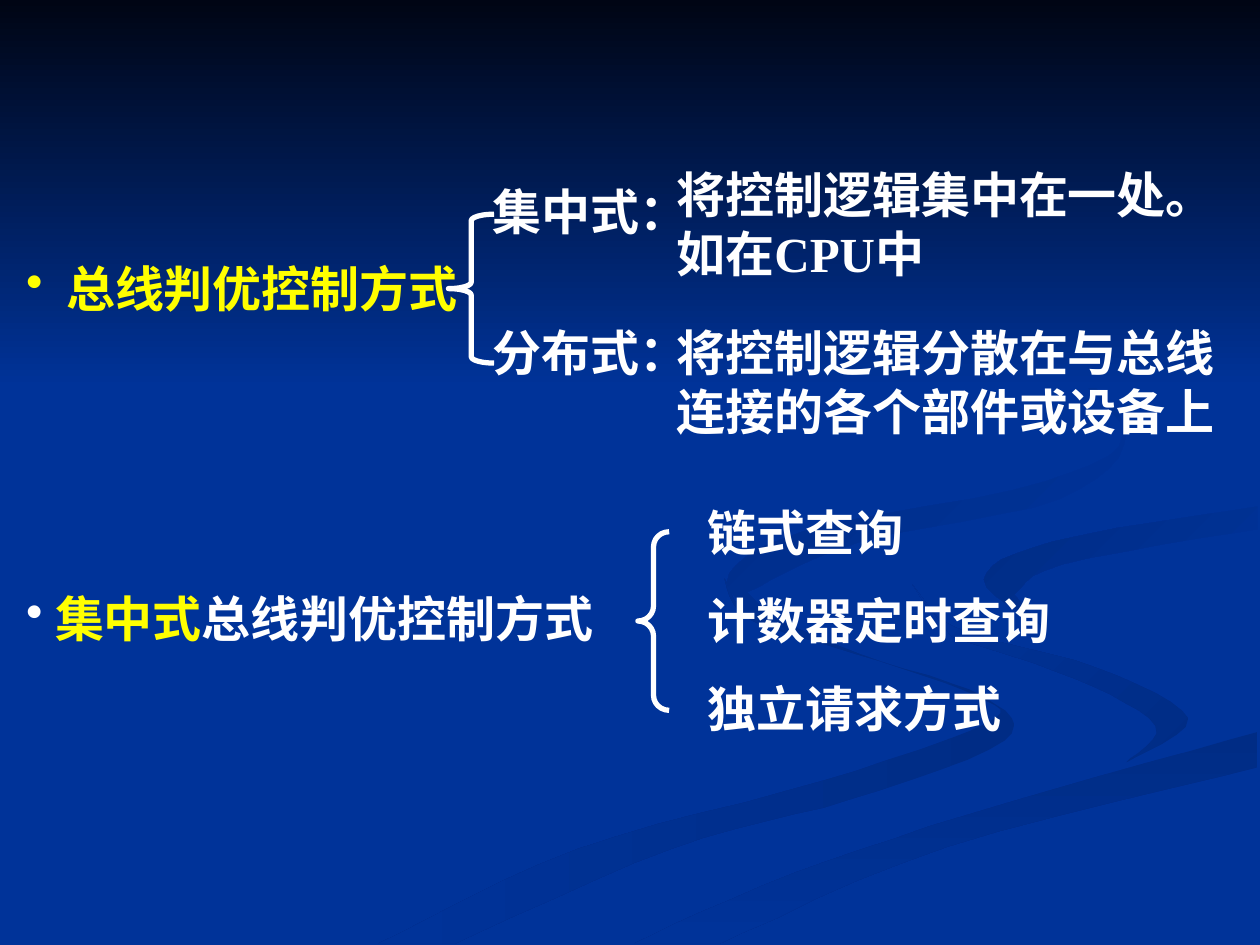
from pptx import Presentation
from pptx.dml.color import RGBColor
from pptx.enum.shapes import MSO_SHAPE
from pptx.oxml.xmlchemy import OxmlElement
from pptx.util import Cm, Pt

WHITE = RGBColor(0xFF, 0xFF, 0xFF)
YELLOW = RGBColor(0xFF, 0xFF, 0x00)
BLUE = RGBColor(0x00, 0x33, 0x99)
NIGHT = RGBColor(0x00, 0x05, 0x14)
SHADE = RGBColor(0x00, 0x2C, 0x85)
FONT, SIZE = "Times New Roman", Pt(28)
LINE_HEIGHT = 1.45
BULLET_INDENT = 0.58

# Topics: left, top, width in cm, bullet colour, runs
TOPICS = [
    (0.28, 5.08, 9.68, YELLOW, [(" 总线判优控制方式", YELLOW)]),
    (0.28, 11.73, 12.2, WHITE, [("集中式", YELLOW), ("总线判优控制方式", WHITE)]),
]

# Control modes: label, label top, explanation, explanation top
MODE_LEFT, MODE_WIDTH = 9.68, 4.75
EXPLANATION_LEFT, EXPLANATION_WIDTH = 13.39, 12.01
MODES = [
    ("集中式：", 3.53, "将控制逻辑集中在一处。如在CPU中", 3.2),
    ("分布式：", 6.38, "将控制逻辑分散在与总线连接的各个部件或设备上", 6.38),
]

# Query methods of the centralized mode
METHOD_LEFT, METHOD_TOP, METHOD_STEP, METHOD_WIDTH = 14.02, 10.0, 1.78, 7.85
METHODS = ["链式查询", "计数器定时查询", "独立请求方式"]

# Braces: left, top, width, height in cm, curl
BRACES = [(9.04, 4.32, 0.92, 3.0, 0.14), (12.86, 10.72, 0.63, 3.6, 0.48)]

# Background ribbons: gradient colours, angle, two edges in 1/100 of 2.54 cm
UNIT = Cm(2.54) / 100
CURVE_STEPS = 6
RIBBONS = [
    (SHADE, BLUE, 180,
     [(575, 459), (594, 491), (679, 519), (776, 553), (783, 574),
      (652, 620), (458, 674), (300, 749)],
     [(361, 749), (532, 674), (676, 634), (797, 588), (781, 553),
      (682, 519), (583, 477)]),
    (SHADE, BLUE, 225,
     [(724, 464), (758, 498), (870, 530), (943, 570), (894, 605)],
     [(894, 605), (917, 576), (854, 539), (755, 505)]),
    (SHADE, BLUE, 90,
     [(503, 749), (630, 693), (797, 638), (998, 581)],
     [(998, 609), (752, 672), (571, 749)]),
    (BLUE, SHADE, 225,
     [(826, 496), (781, 460), (835, 430), (998, 402)],
     [(998, 420), (843, 448), (805, 472)]),
    (BLUE, SHADE, 225,
     [(762, 233), (889, 335), (830, 382), (637, 422), (577, 462), (622, 500)],
     [(593, 470), (683, 430), (841, 396), (894, 344), (846, 285)]),
]


def smooth(edge):
    """Return points on a Catmull-Rom curve through the edge."""
    padded = [edge[0], *edge, edge[-1]]
    curve = []
    for a, b, c, d in zip(padded, padded[1:], padded[2:], padded[3:]):
        for step in range(CURVE_STEPS):
            t = step / CURVE_STEPS
            curve.append(tuple(
                q + t * (r - p + t * (2 * p - 5 * q + 4 * r - s
                                      + t * (3 * q - p - 3 * r + s))) / 2
                for p, q, r, s in zip(a, b, c, d)))
    return curve + [edge[-1]]


def paint_gradient(shape, start, end, angle):
    shape.shadow.inherit = False
    shape.line.fill.background()
    shape.fill.gradient()
    shape.fill.gradient_angle = 360 - angle
    for stop, color in zip(shape.fill.gradient_stops, (start, end)):
        stop.color.rgb = color


def add_bullet(paragraph, color):
    properties = paragraph._p.get_or_add_pPr()
    properties.set("marL", str(Cm(BULLET_INDENT)))
    properties.set("indent", str(-Cm(BULLET_INDENT)))
    bullet_color = OxmlElement("a:buClr")
    rgb = OxmlElement("a:srgbClr")
    rgb.set("val", str(color))
    bullet_color.append(rgb)
    bullet = OxmlElement("a:buChar")
    bullet.set("char", "•")
    properties.extend([bullet_color, bullet])


def add_text(slide, left, top, width, runs, bullet=None, lines=1):
    box = slide.shapes.add_textbox(Cm(left), Cm(top), Cm(width), Cm(lines * LINE_HEIGHT))
    box.text_frame.word_wrap = True
    paragraph = box.text_frame.paragraphs[0]
    if bullet is not None:
        add_bullet(paragraph, bullet)
    for text, color in runs:
        run = paragraph.add_run()
        run.text = text
        run.font.name, run.font.size, run.font.bold = FONT, SIZE, True
        run.font.color.rgb = color


def main():
    deck = Presentation()
    deck.slide_width, deck.slide_height = Cm(25.4), Cm(19.05)
    slide = deck.slides.add_slide(deck.slide_layouts[6])
    slide.background.fill.solid()
    slide.background.fill.fore_color.rgb = BLUE

    # Ribbons and the dark sky above them
    for start, end, angle, edge, back_edge in RIBBONS:
        outline = smooth(edge) + smooth(back_edge)
        builder = slide.shapes.build_freeform(*outline[0], scale=UNIT)
        builder.add_line_segments(outline[1:], close=True)
        paint_gradient(builder.convert_to_shape(), start, end, angle)
    sky = slide.shapes.add_shape(MSO_SHAPE.RECTANGLE, 0, 0, deck.slide_width, Cm(7.82))
    paint_gradient(sky, NIGHT, BLUE, 90)

    # Topics, modes and methods
    for left, top, width, bullet, runs in TOPICS:
        add_text(slide, left, top, width, runs, bullet)
    for label, label_top, explanation, top in MODES:
        add_text(slide, MODE_LEFT, label_top, MODE_WIDTH, [(label, WHITE)])
        add_text(slide, EXPLANATION_LEFT, top, EXPLANATION_WIDTH,
                 [(explanation, WHITE)], lines=2)
    for row, method in enumerate(METHODS):
        add_text(slide, METHOD_LEFT, METHOD_TOP + row * METHOD_STEP, METHOD_WIDTH,
                 [(method, WHITE)])

    # Braces
    for left, top, width, height, curl in BRACES:
        brace = slide.shapes.add_shape(
            MSO_SHAPE.LEFT_BRACE, Cm(left), Cm(top), Cm(width), Cm(height))
        brace.adjustments[0] = curl
        brace.shadow.inherit = False
        brace.fill.background()
        brace.line.color.rgb = WHITE
        brace.line.width = Pt(3)

    deck.save("out.pptx")


if __name__ == "__main__":
    main()
